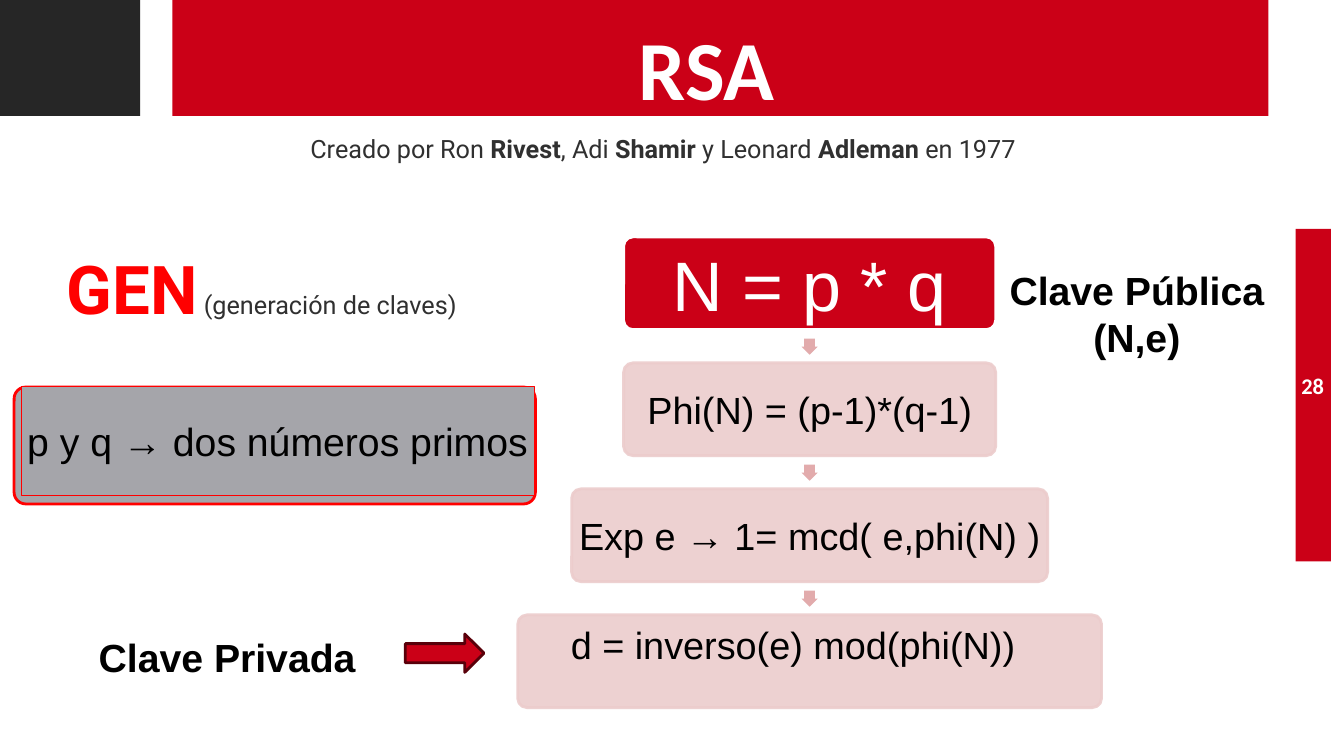
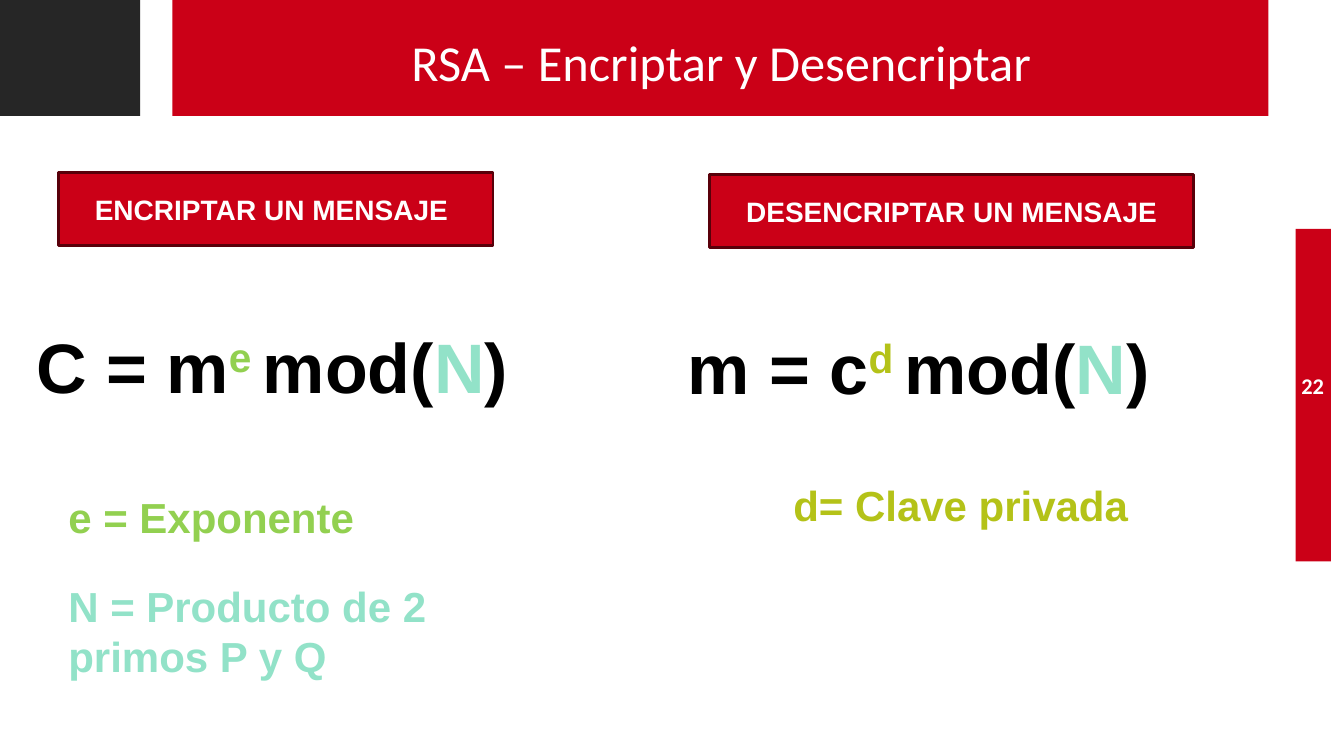
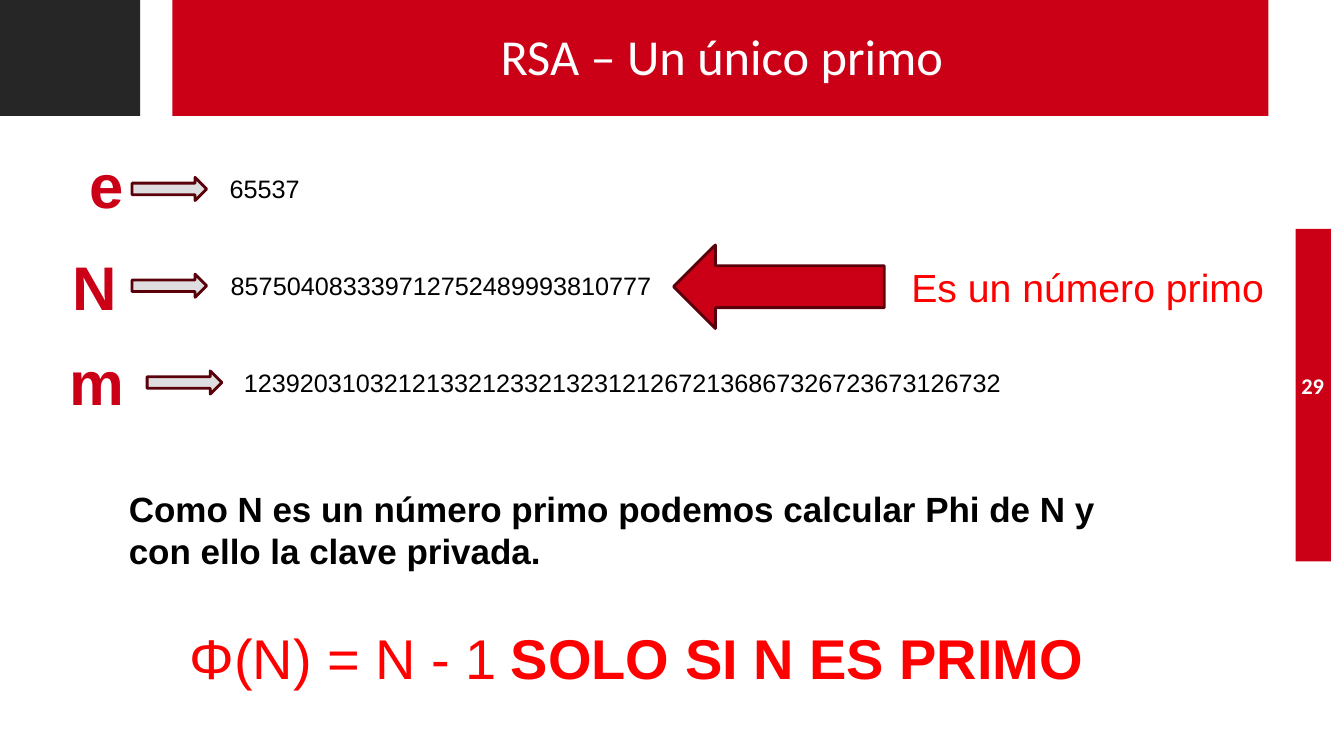
from dataclasses import dataclass

from lxml.etree import SubElement
from pptx import Presentation
from pptx.dml.color import RGBColor
from pptx.enum.shapes import MSO_SHAPE as Preset
from pptx.enum.text import MSO_ANCHOR as Anchor, MSO_AUTO_SIZE as AutoSize, PP_ALIGN as Align
from pptx.oxml.ns import qn
from pptx.util import Inches, Pt

COLORS = {
    "red": "CB0017",
    "dark_red": "59000A",
    "bright_red": "FF0000",
    "charcoal": "262626",
    "body": "303030",
    "gray": "A5A5AA",
    "light_gray": "DEDEE0",
    "pink": "ECCCCC",
    "rose": "E2ABAC",
    "green": "92D050",
    "mint": "92E2C8",
    "olive": "B4C218",
    "white": "FFFFFF",
    "black": "000000",
}


@dataclass(frozen=True)
class Box:
    left: float
    top: float
    width: float
    height: float


@dataclass(frozen=True)
class Run:
    text: str
    size: float | None = None
    color: str | None = None
    bold: bool | None = None
    superscript: bool = False


@dataclass(frozen=True)
class Step:
    formula: str
    width: float
    fill: str = "pink"
    outline: str = "pink"
    opacity: int = 90
    size: float = 27
    color: str = "black"
    anchor: Anchor = Anchor.MIDDLE
    right_inset: float = 0.04


@dataclass(frozen=True)
class Operation:
    heading: str
    heading_box: Box
    formula_box: Box
    result: str
    base: str
    exponent: str
    exponent_color: str


@dataclass(frozen=True)
class Parameter:
    symbol: str
    center: float
    symbol_top: float
    arrow_left: float
    value_left: float
    value: str


def rgb(name: str) -> RGBColor:
    return RGBColor.from_string(COLORS[name])


def place(shape, box: Box) -> None:
    shape.left, shape.top = Inches(box.left), Inches(box.top)
    shape.width, shape.height = Inches(box.width), Inches(box.height)


def write(shape, *lines, size=18, color="black", bold=False, font="Arial",
          align=Align.LEFT, anchor=Anchor.TOP, inset=(0.1, 0.05, 0.1, 0.05)) -> None:
    frame = shape.text_frame
    frame.word_wrap = True
    frame.auto_size = AutoSize.NONE
    frame.vertical_anchor = anchor
    frame.margin_left, frame.margin_top, frame.margin_right, frame.margin_bottom = map(Inches, inset)
    for index, line in enumerate(lines):
        paragraph = frame.add_paragraph() if index else frame.paragraphs[0]
        paragraph.alignment = align
        for part in (Run(line),) if isinstance(line, str) else line:
            run = paragraph.add_run()
            run.text = part.text
            run.font.name = font
            run.font.size = Pt(part.size or size)
            run.font.bold = bold if part.bold is None else part.bold
            run.font.color.rgb = rgb(part.color or color)
            if part.superscript:
                run.font._element.set("baseline", "30000")


def add_label(slide, box: Box, *lines, **text_format) -> None:
    label = slide.shapes.add_textbox(0, 0, 0, 0)
    place(label, box)
    write(label, *lines, **text_format)


def add_block(slide, box: Box, fill: str, outline: str | None = None, weight: float = 2,
              preset=Preset.RECTANGLE, adjust=(), opacity: int = 100):
    block = slide.shapes.add_shape(preset, 0, 0, 0, 0)
    place(block, box)
    block.shadow.inherit = False
    block.fill.solid()
    block.fill.fore_color.rgb = rgb(fill)
    if outline:
        block.line.color.rgb = rgb(outline)
        block.line.width = Pt(weight)
    else:
        block.line.fill.background()
    for index, value in enumerate(adjust):
        block.adjustments[index] = value
    if opacity < 100:
        for color in block._element.spPr.iter(qn("a:srgbClr")):
            SubElement(color, qn("a:alpha")).set("val", str(opacity * 1000))
    return block


def add_framed_slide(deck, layout: int, title: str, title_box: Box, number: str,
                     size: float = 36, bold: bool = False):
    slide = deck.slides.add_slide(deck.slide_layouts[layout])
    add_block(slide, Box(12.85, 2.27, 0.35, 3.3), "red")
    add_block(slide, Box(1.71, 0, 10.87, 1.15), "red")
    add_block(slide, Box(0, 0, 1.39, 1.15), "charcoal")
    for placeholder in list(slide.placeholders):
        slide.shapes._spTree.append(placeholder._element)
    place(slide.shapes.title, title_box)
    write(slide.shapes.title, title, size=size, bold=bold, font="Calibri", color="white",
          align=Align.CENTER, anchor=Anchor.BOTTOM)
    add_label(slide, Box(12.67, 3.63, 0.7, 0.4), number, size=16, bold=True, font="Calibri",
              color="white", align=Align.CENTER, anchor=Anchor.MIDDLE)
    return slide


def fill_introduction(body) -> None:
    place(body, Box(0.31, 1.27, 12.28, 5.74))
    write(body,
          (Run("Creado por Ron "), Run("Rivest", bold=True), Run(", Adi "),
           Run("Shamir", bold=True), Run(" y Leonard "), Run("Adleman ", bold=True),
           Run("en 1977")),
          (Run("GEN", size=48, color="bright_red", bold=True), Run(" ", bold=True),
           Run("(generación de claves)")),
          font="Roboto", color="body")
    authors, generation = body.text_frame.paragraphs
    authors.alignment = Align.CENTER
    for paragraph, gap in ((authors, 18), (generation, 60)):
        paragraph.space_before = Pt(gap)
        properties = paragraph._p.get_or_add_pPr()
        properties.set("marL", str(Inches(0.5)))
        properties.set("indent", str(Inches(-0.25)))
        SubElement(properties, qn("a:buNone"))


def build_key_generation(deck) -> None:
    slide = add_framed_slide(deck, 1, "RSA", Box(1.83, 0.06, 10.36, 1.15), "28", size=60, bold=True)
    fill_introduction(slide.placeholders[1])

    add_block(slide, Box(0.14, 3.84, 5.17, 1.16), "gray", "bright_red",
              preset=Preset.ROUNDED_RECTANGLE, adjust=(0.1,))
    primes = add_block(slide, Box(0.21, 3.83, 5.09, 1.09), "gray", "bright_red", 0.75)
    write(primes, "p y q → dos números primos", size=28, anchor=Anchor.MIDDLE,
          inset=(0.06, 0.06, 0, 0.06))

    steps = (
        Step("N = p * q", 3.69, "red", "white", 100, 50, "white"),
        Step("Phi(N) = (p-1)*(q-1)", 3.69),
        Step("Exp e → 1= mcd( e,phi(N) )", 4.72),
        Step("d = inverso(e) mod(phi(N))", 5.79, anchor=Anchor.TOP, right_inset=0.37),
    )
    center, first_top, pitch = 8.03, 2.35, 1.25
    for index, step in enumerate(steps):
        top = first_top + index * pitch
        block = add_block(slide, Box(center - step.width / 2, top, step.width, 0.92),
                          step.fill, step.outline, preset=Preset.ROUNDED_RECTANGLE,
                          adjust=(0.1,), opacity=step.opacity)
        write(block, step.formula, size=step.size, color=step.color, align=Align.CENTER,
              anchor=step.anchor, inset=(0.04, 0.04, step.right_inset, 0.04))
        if index < len(steps) - 1:
            add_block(slide, Box(center - 0.08, top + 1.01, 0.16, 0.16), "rose",
                      preset=Preset.DOWN_ARROW, adjust=(0.67, 0.5))

    add_label(slide, Box(9.25, 2.59, 4.05, 1.04), "Clave Pública", "(N,e)",
              size=28, bold=True, align=Align.CENTER)
    add_label(slide, Box(0.88, 6.23, 3.09, 0.57), "Clave Privada", size=28, bold=True)
    add_block(slide, Box(4.02, 6.29, 0.78, 0.38), "red", "dark_red", preset=Preset.RIGHT_ARROW)


def build_encryption(deck) -> None:
    slide = add_framed_slide(deck, 5, "RSA – Encriptar y Desencriptar",
                             Box(1.72, 0.06, 10.87, 0.9), "22")
    operations = (
        Operation("ENCRIPTAR UN MENSAJE", Box(0.58, 1.71, 4.31, 0.73),
                  Box(0.26, 3.16, 5.21, 0.94), "C", "m", "e", "green"),
        Operation("DESENCRIPTAR UN MENSAJE", Box(7.04, 1.73, 4.8, 0.73),
                  Box(6.72, 3.17, 5.21, 0.94), "m", "c", "d", "olive"),
    )
    for operation in operations:
        heading = add_block(slide, operation.heading_box, "red", "dark_red")
        write(heading, operation.heading, size=20, bold=True, color="white",
              anchor=Anchor.MIDDLE, inset=(0.36, 0.05, 0.1, 0.05))
        add_label(slide, operation.formula_box,
                  (Run(f"{operation.result} = {operation.base}"),
                   Run(f"{operation.exponent} ", color=operation.exponent_color, superscript=True),
                   Run("mod("), Run("N", color="mint"), Run(")")),
                  size=50, bold=True)

    definitions = (
        ("e = Exponente", Box(0.58, 4.83, 4.1, 0.61), "green"),
        ("N = Producto de 2 primos P y Q", Box(0.58, 5.71, 4.1, 1.11), "mint"),
        ("d= Clave privada", Box(7.77, 4.71, 4.8, 0.61), "olive"),
    )
    for definition, box, color in definitions:
        add_label(slide, box, definition, size=30, bold=True, color=color)


def build_single_prime(deck) -> None:
    slide = add_framed_slide(deck, 5, "RSA – Un único primo", Box(1.67, 0, 10.98, 0.9), "29")
    parameters = (
        Parameter("e", 1.06, 1.41, 1.31, 2.18, "65537"),
        Parameter("N", 0.94, 2.42, 1.31, 2.19, "857504083339712752489993810777"),
        Parameter("m", 0.96, 3.36, 1.46, 2.32,
                  "123920310321213321233213231212672136867326723673126732"),
    )
    for index, parameter in enumerate(parameters):
        arrow_top = 1.76 + index * 0.96
        add_label(slide, Box(parameter.center - 0.5, parameter.symbol_top, 1, 0.84),
                  parameter.symbol, size=44, bold=True, color="red", align=Align.CENTER)
        add_block(slide, Box(parameter.arrow_left, arrow_top, 0.74, 0.23), "light_gray",
                  "dark_red", preset=Preset.RIGHT_ARROW)
        add_label(slide, Box(parameter.value_left, arrow_top - 0.09, 8.7, 0.4), parameter.value)

    add_label(slide, Box(1.18, 4.79, 10.14, 0.94),
              "Como N es un número primo podemos calcular Phi de N y con ello la clave privada.",
              size=25, bold=True)
    add_label(slide, Box(8.94, 2.56, 4.07, 0.57), "Es un número primo", size=28, color="bright_red")
    add_block(slide, Box(6.68, 2.43, 2.09, 0.83), "red", "dark_red", preset=Preset.LEFT_ARROW)
    add_label(slide, Box(1.78, 6.14, 3.78, 0.77), "Φ(N) = N - 1", size=40, color="bright_red")
    add_label(slide, Box(4.97, 6.14, 6.36, 0.77), "SOLO SI N ES PRIMO", size=40, bold=True,
              color="bright_red")


def main() -> None:
    deck = Presentation()
    deck.slide_width, deck.slide_height = Inches(13.33), Inches(7.5)
    build_key_generation(deck)
    build_encryption(deck)
    build_single_prime(deck)
    deck.save("out.pptx")


if __name__ == "__main__":
    main()
